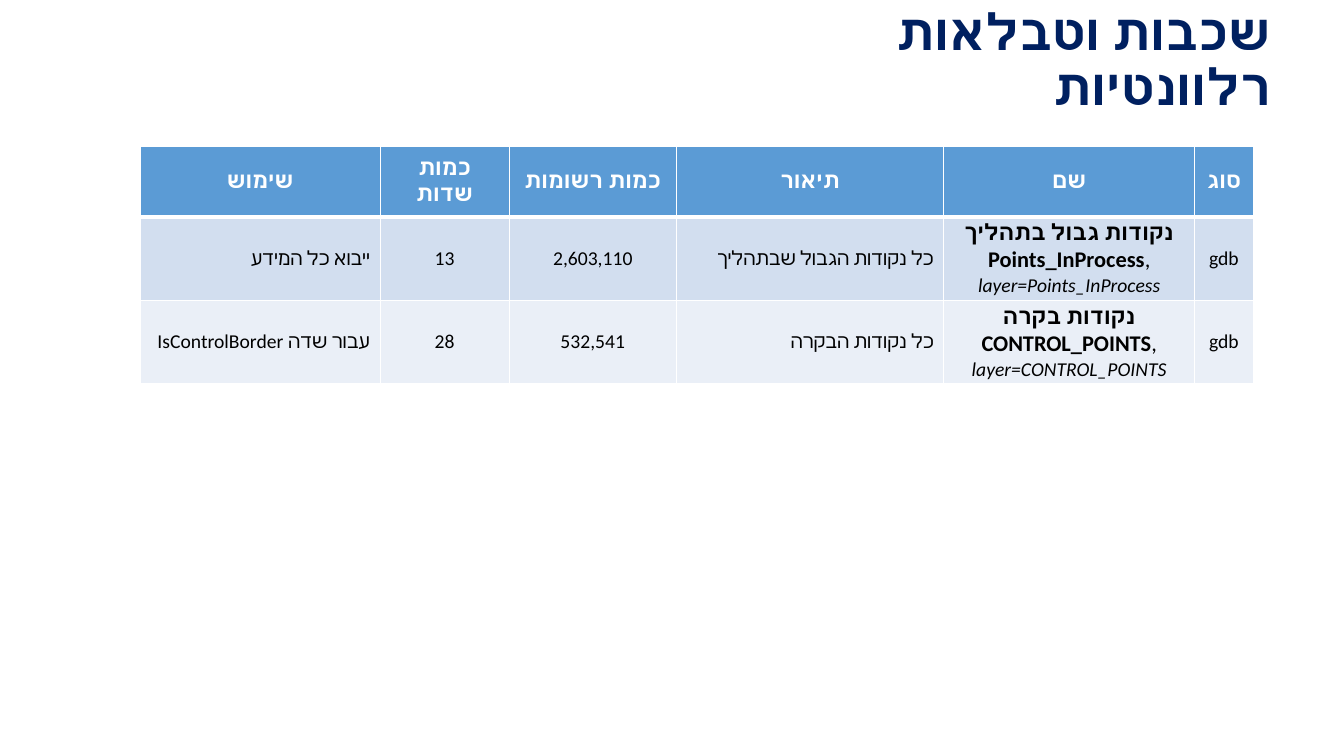
from lxml import etree
from pptx import Presentation
from pptx.dml.color import RGBColor
from pptx.enum.text import MSO_ANCHOR, PP_ALIGN
from pptx.oxml.ns import qn
from pptx.util import Inches, Pt

CENTER, RIGHT = PP_ALIGN.CENTER, PP_ALIGN.RIGHT
MIDDLE = MSO_ANCHOR.MIDDLE
WHITE = RGBColor(0xFF, 0xFF, 0xFF)
BLACK = RGBColor(0x00, 0x00, 0x00)
NAVY = RGBColor(0x00, 0x20, 0x60)
HEADER_BLUE = RGBColor(0x5B, 0x9B, 0xD5)
ROW_FILLS = [RGBColor(0xD2, 0xDE, 0xEF), RGBColor(0xEA, 0xEF, 0xF7)]

COLUMN_WIDTHS = [2.38, 1.28, 1.66, 2.65, 2.49, 0.58]
ROW_HEIGHTS = [0.7, 0.83, 0.83]
HEADERS = ["שימוש", "כמות\nשדות", "כמות רשומות", "תיאור", "שם", "סוג"]
NAME_COLUMN = 4
RTL_COLUMNS = (0, 3)
LAYERS = [
    ["ייבוא כל המידע", "13", "2,603,110", "כל נקודות הגבול שבתהליך",
     ("נקודות גבול בתהליך", "Points_InProcess"), "gdb"],
    ["עבור שדה IsControlBorder", "28", "532,541", "כל נקודות הבקרה",
     ("נקודות בקרה", "CONTROL_POINTS"), "gdb"],
]


def style_run(run, size, color=BLACK, face="Calibri", bold=False, italic=False):
    """Format a run for both Latin and Hebrew script."""
    font = run.font
    font.size, font.bold, font.italic, font.name = Pt(size), bold, italic, face
    font.color.rgb = color
    etree.SubElement(run._r.get_or_add_rPr(), qn("a:cs"), typeface=face)


def align(paragraph, alignment):
    """Align a paragraph; right-aligned ones read right to left."""
    paragraph.alignment = alignment
    if alignment == RIGHT:
        paragraph._p.get_or_add_pPr().set("rtl", "1")


def style_text(text_frame, alignment, size, **style):
    """Format every paragraph of a text frame alike."""
    for paragraph in text_frame.paragraphs:
        align(paragraph, alignment)
        for run in paragraph.runs:
            style_run(run, size, **style)


def style_cell(cell, fill, top=1, bottom=1):
    """Give a cell white borders, a fill and centred anchoring."""
    properties = cell._tc.get_or_add_tcPr()
    for side, width in zip("LRTB", (1, 1, top, bottom)):
        border = etree.SubElement(properties, qn(f"a:ln{side}"), w=str(Pt(width)))
        border_fill = etree.SubElement(border, qn("a:solidFill"))
        etree.SubElement(border_fill, qn("a:srgbClr"), val=str(WHITE))
    cell.fill.solid()
    cell.fill.fore_color.rgb = fill
    cell.vertical_anchor = MIDDLE


def write_name(text_frame, hebrew_name, layer):
    """Write the Hebrew name, the table name and the layer line."""
    text_frame.text = f"{hebrew_name}\n{layer}\nlayer={layer}"
    title, table_name, layer_line = text_frame.paragraphs
    for paragraph in text_frame.paragraphs:
        align(paragraph, CENTER)
    style_run(title.runs[0], 16, bold=True)
    style_run(table_name.runs[0], 16, bold=True)
    comma = table_name.add_run()
    comma.text = ","
    style_run(comma, 16)
    style_run(layer_line.runs[0], 14, italic=True)


def add_title(slide):
    """Add the slide title."""
    box = slide.shapes.add_textbox(Inches(7.5), Inches(0.27), Inches(5.2), Inches(0.68))
    frame = box.text_frame
    frame.word_wrap = True
    frame.vertical_anchor = MIDDLE
    frame.text = "שכבות וטבלאות רלוונטיות"
    style_text(frame, RIGHT, 36, color=NAVY, bold=True)
    frame.paragraphs[0].line_spacing = 0.9


def add_layer_table(slide):
    """Add the table of layers."""
    table = slide.shapes.add_table(
        len(ROW_HEIGHTS), len(COLUMN_WIDTHS), Inches(1.39), Inches(1.45),
        Inches(sum(COLUMN_WIDTHS)), Inches(sum(ROW_HEIGHTS))).table
    for column, width in zip(table.columns, COLUMN_WIDTHS):
        column.width = Inches(width)
    for row, height in zip(table.rows, ROW_HEIGHTS):
        row.height = Inches(height)

    for column, header in enumerate(HEADERS):
        cell = table.cell(0, column)
        style_cell(cell, HEADER_BLUE, bottom=3)
        cell.text_frame.text = header
        style_text(cell.text_frame, CENTER, 16, color=WHITE, face="Karla", bold=True)

    for row, (layer, fill) in enumerate(zip(LAYERS, ROW_FILLS), start=1):
        for column, value in enumerate(layer):
            cell = table.cell(row, column)
            style_cell(cell, fill, top=3 if row == 1 else 1)
            cell.margin_top = cell.margin_bottom = Inches(0.02)
            if column == NAME_COLUMN:
                write_name(cell.text_frame, *value)
            else:
                cell.text_frame.text = value
                style_text(cell.text_frame, RIGHT if column in RTL_COLUMNS else CENTER, 14)


def main():
    """Build and save the slide."""
    presentation = Presentation()
    presentation.slide_width = Inches(13.33)
    presentation.slide_height = Inches(7.5)
    slide = presentation.slides.add_slide(presentation.slide_layouts[6])
    add_layer_table(slide)
    add_title(slide)
    presentation.save("out.pptx")


if __name__ == "__main__":
    main()
